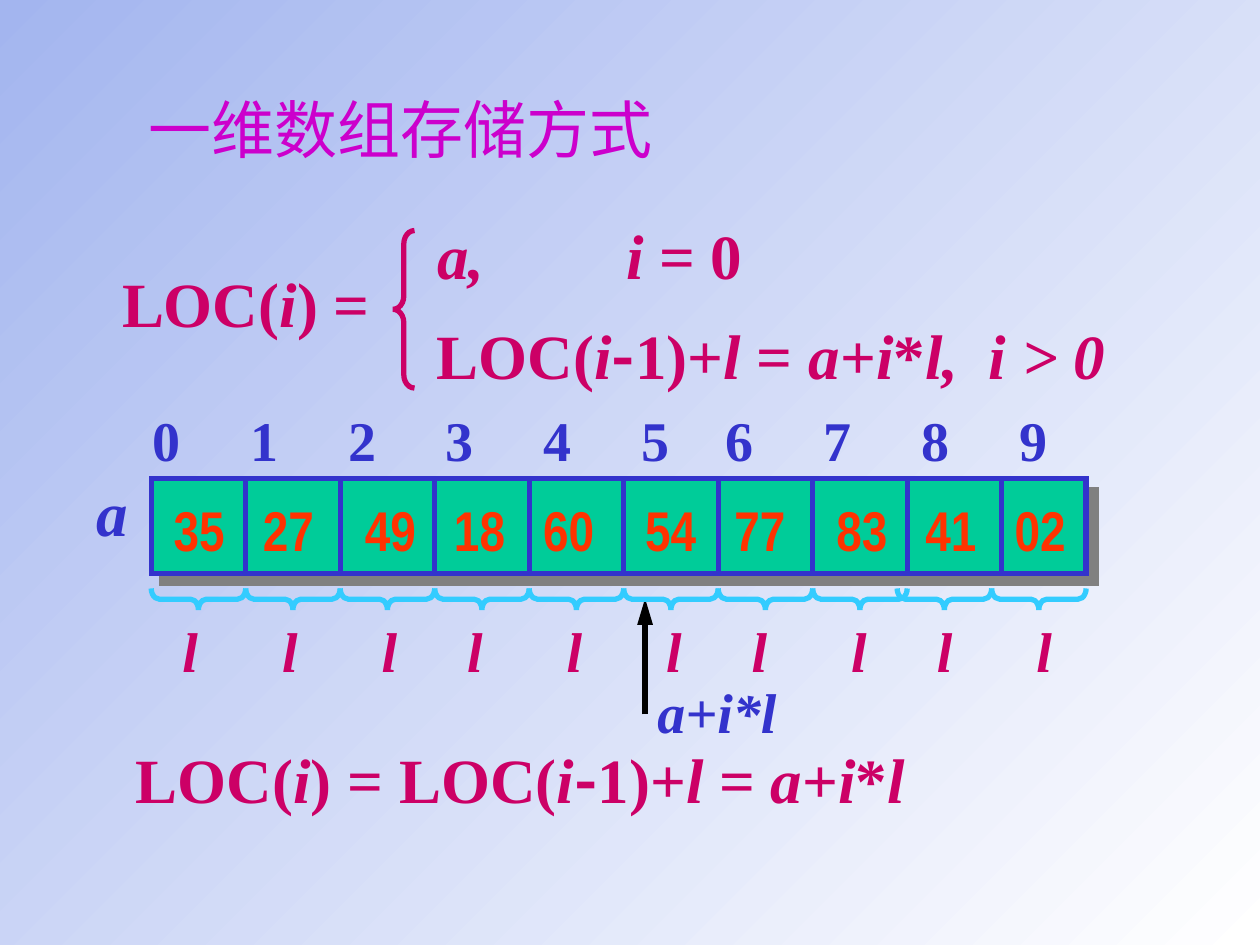
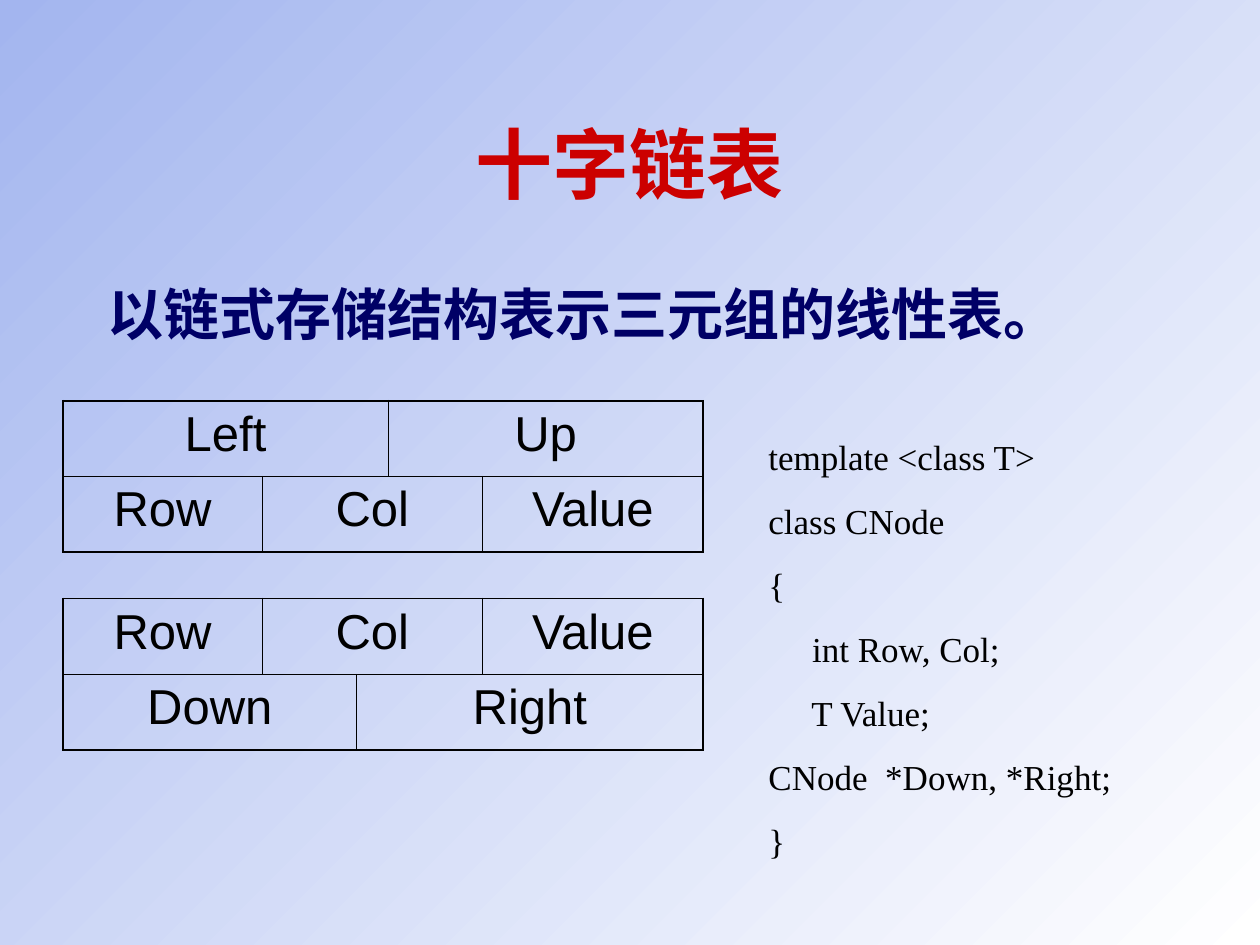
"""Build two slides on array storage and the orthogonal linked list."""
from itertools import accumulate

from lxml import etree
from pptx import Presentation
from pptx.dml.color import RGBColor
from pptx.enum.shapes import MSO_CONNECTOR, MSO_SHAPE
from pptx.enum.text import MSO_ANCHOR, MSO_AUTO_SIZE, PP_ALIGN
from pptx.oxml.ns import qn
from pptx.util import Inches, Pt

STRAIGHT = MSO_CONNECTOR.STRAIGHT
RECTANGLE, BRACE = MSO_SHAPE.RECTANGLE, MSO_SHAPE.LEFT_BRACE
TOP, MIDDLE = MSO_ANCHOR.TOP, MSO_ANCHOR.MIDDLE
LEFT, CENTER = PP_ALIGN.LEFT, PP_ALIGN.CENTER
FIXED = MSO_AUTO_SIZE.NONE

SERIF, SANS, NARROW, CHINESE = "Times New Roman", "Arial", "Arial Narrow", "Noto Sans CJK SC"
THEME = {
    "gradient": ("A3B5EF", "FFFFFF"),
    "cell": "00CC99",
    "frame": "3333CC",
    "brace": "33CCFF",
    "formula_brace": "CC0066",
    "black": "000000",
    "shadow": "808080",
    "line": 3,
    "outer_border": 1.08,
    "inner_border": 0.45,
    "heading": {"name": SERIF, "size": 36, "bold": False, "color": "CC00CC"},
    "title": {"name": SERIF, "size": 44, "bold": True, "color": "CC0000"},
    "body": {"name": SERIF, "size": 32, "bold": True, "color": "000066"},
    "formula": {"name": SERIF, "size": 36, "bold": True, "color": "CC0066"},
    "length": {"name": SERIF, "size": 32, "bold": True, "color": "CC0066"},
    "index": {"name": SERIF, "size": 32, "bold": True, "color": "3333CC"},
    "array": {"name": SERIF, "size": 36, "bold": True, "color": "3333CC"},
    "value": {"name": NARROW, "size": 32, "bold": True, "color": "FF3300"},
    "code": {"name": SERIF, "size": 20, "bold": False, "color": "000000"},
    "field": {"name": SANS, "size": 28, "bold": False, "color": "000000"},
}


def write(frame, lines, style, align=LEFT, gap=0):
    """Fill a text frame; underscores switch italics on and off."""
    frame.word_wrap = True
    for number, line in enumerate(lines):
        para = frame.add_paragraph() if number else frame.paragraphs[0]
        props = para._p.get_or_add_pPr()
        props.set("marL", "0")
        props.set("indent", "0")
        etree.SubElement(props, qn("a:buNone"))
        para.alignment = align
        para.space_before = Pt(gap if number else 0)
        for order, piece in enumerate(line.split("_")):
            if not piece:
                continue
            span = para.add_run()
            span.text = piece
            values = {
                "name": CHINESE if piece == "-" else style["name"],
                "size": Pt(style["size"]),
                "bold": style["bold"],
                "italic": order % 2 == 1,
            }
            for name, value in values.items():
                setattr(span.font, name, value)
            span.font.color.rgb = RGBColor.from_string(style["color"])
            etree.SubElement(span._r.get_or_add_rPr(), qn("a:ea"), typeface=CHINESE)


def place(shape, left, top, width, height):
    """Move and size a placeholder."""
    values = {"left": left, "top": top, "width": width, "height": height}
    for name, value in values.items():
        setattr(shape, name, Inches(value))
    shape.text_frame.auto_size = FIXED


deck = Presentation()
deck.slide_width, deck.slide_height = Inches(10), Inches(7.5)
backdrop = deck.slide_master.background.fill
backdrop.gradient()
backdrop.gradient_angle = 315
for stop, color in zip(backdrop.gradient_stops, THEME["gradient"]):
    stop.color.rgb = RGBColor.from_string(color)

page = deck.slides.add_slide(deck.slide_layouts[5])
title = page.shapes.title
place(title, 1.08, 0.67, 7.5, 0.75)
title.text_frame.vertical_anchor = TOP
write(title.text_frame, ["一维数组存储方式"], THEME["heading"])

array_left, array_top, array_height, step = 1.2, 3.8, 0.75, 0.75
array = page.shapes.add_shape(
    RECTANGLE, Inches(array_left), Inches(array_top), Inches(7.42), Inches(array_height)
)
array.fill.solid()
array.fill.fore_color.rgb = RGBColor.from_string(THEME["cell"])
array.shadow.inherit = False
effects = array._element.spPr.find(qn("a:effectLst"))
shadow = etree.SubElement(
    effects, qn("a:outerShdw"), dist=str(Pt(8.5)), dir="2700000", algn="ctr", rotWithShape="0"
)
etree.SubElement(shadow, qn("a:srgbClr"), val=THEME["shadow"])

lines = [
    (array_left + step * number, array_top, array_top + array_height, THEME["frame"])
    for number in range(1, 10)
]
lines.append((5.12, 5.67, 4.75, THEME["black"]))
for x, start, end, color in lines:
    connector = page.shapes.add_connector(
        STRAIGHT, Inches(x), Inches(start), Inches(x), Inches(end)
    )
    connector.line.color.rgb = RGBColor.from_string(color)
    connector.line.width = Pt(THEME["line"])
    etree.SubElement(connector._element.spPr, qn("a:effectLst"))
    if end < start:
        outline = connector.line._get_or_add_ln()
        etree.SubElement(outline, qn("a:tailEnd"), type="triangle", w="med", len="lg")

brace_width = 0.17
brace_lefts = [array_left + step * number for number in range(8)] + [7.12, 7.87]
braces = [
    (left + (step - brace_width) / 2, 4.38, step, 270, 0.375, THEME["brace"])
    for left in brace_lefts
]
braces.append((3.12, 1.83, 1.25, 0, 0.62, THEME["formula_brace"]))
outlined = [(array, THEME["frame"])]
for left, top, height, rotation, curve, color in braces:
    brace = page.shapes.add_shape(
        BRACE, Inches(left), Inches(top), Inches(brace_width), Inches(height)
    )
    brace.rotation = rotation
    brace.adjustments[0] = curve
    brace.fill.background()
    brace.shadow.inherit = False
    outlined.append((brace, color))
for shape, color in outlined:
    shape.line.color.rgb = RGBColor.from_string(color)
    shape.line.width = Pt(THEME["line"])
    etree.SubElement(shape.line._get_or_add_ln(), qn("a:miter"), lim="800000")

labels = [
    ("LOC(_i_) = LOC(_i_-__1)+_l_ = _a_+_i_*_l", "formula", 0.98, 5.83, 8.39, 0.7),
    ("LOC(_i_) =", "formula", 0.87, 2.05, 2.25, 0.7),
    ("LOC(_i_-__1)+_l_ = _a_+_i_*_l,", "formula", 3.37, 2.46, 4.4, 0.7),
    ("_i > 0", "formula", 7.75, 2.46, 1.37, 0.7),
    ("_a,", "formula", 3.37, 1.67, 0.75, 0.7),
    ("_i _= 0", "formula", 4.87, 1.67, 1.75, 0.7),
    ("_a+i*l", "index", 5.12, 5.33, 1.2, 0.64),
    ("_a", "array", 0.67, 3.71, 0.5, 0.7),
]
values = "35 27 49 18 60 54 77 83 41 02".split()
array_rows = [
    (values, "value", 1.28, 3.88, 0.405, 0.101, (3, 4, 3, 3, 4, 3, 4, 3, 3)),
    (range(10), "index", 1.11, 3.17, 0.222, 0.111, (5, 5, 5, 5, 5, 4, 5, 5, 5)),
    (["_l"] * 10, "length", 1.35, 4.84, 0.124, 0.111, (6, 6, 5, 6, 6, 5, 6, 5, 6)),
]
for texts, style, left, top, text_width, unit, gaps in array_rows:
    steps = [text_width + unit * gap for gap in gaps]
    for text, x in zip(texts, accumulate(steps, initial=left)):
        labels.append((str(text), style, x, top, 0.7, 0.64))
for text, style, left, top, width, height in labels:
    box = page.shapes.add_textbox(Inches(left), Inches(top), Inches(width), Inches(height))
    write(box.text_frame, [text], THEME[style])

page = deck.slides.add_slide(deck.slide_layouts[1])
title, body = page.shapes.title, page.placeholders[1]
place(title, 0.75, 0.67, 8.5, 1.25)
title.text_frame.vertical_anchor = MIDDLE
write(title.text_frame, ["十字链表"], THEME["title"], CENTER)
place(body, 0.75, 2.17, 8.5, 4.5)
write(body.text_frame, ["以链式存储结构表示三元组的线性表。"], THEME["body"])

code = [
    "template <class T>",
    "class CNode",
    "{",
    "     int Row, Col;",
    "     T Value;",
    "CNode  *Down, *Right;",
    "}",
]
box = page.shapes.add_textbox(Inches(6), Inches(3.41), Inches(3.25), Inches(3.48))
write(box.text_frame, code, THEME["code"], gap=12.5)

triple = [("Row", 0, 0), ("Col", 1, 2), ("Value", 3, 3)]
nodes = [
    (3.18, (1.58, 1, 0.75, 1.75), [[("Left", 0, 1), ("Up", 2, 3)], triple]),
    (4.75, (1.58, 0.75, 1, 1.75), [triple, [("Down", 0, 1), ("Right", 2, 3)]]),
]
for top, widths, rows in nodes:
    table = page.shapes.add_table(
        2, 4, Inches(0.5), Inches(top), Inches(5.08), Inches(1.2)
    ).table
    table.first_row = table.horz_banding = False
    for column, width in zip(table.columns, widths):
        column.width = Inches(width)
    for row, fields in enumerate(rows):
        table.rows[row].height = Inches(0.6)
        for text, first, last in fields:
            outer = {"L": first == 0, "R": last == 3, "T": row == 0, "B": row == 1}
            for column in range(first, last + 1):
                cell = table.cell(row, column)
                props = cell._tc.get_or_add_tcPr()
                for side, is_outer in outer.items():
                    weight = THEME["outer_border" if is_outer else "inner_border"]
                    border = etree.SubElement(props, qn(f"a:ln{side}"), w=str(Pt(weight)))
                    paint = etree.SubElement(border, qn("a:solidFill"))
                    etree.SubElement(paint, qn("a:srgbClr"), val=THEME["black"])
                cell.fill.background()
            cell = table.cell(row, first)
            if last > first:
                cell.merge(table.cell(row, last))
            write(cell.text_frame, [text], THEME["field"], CENTER)

deck.save("out.pptx")
